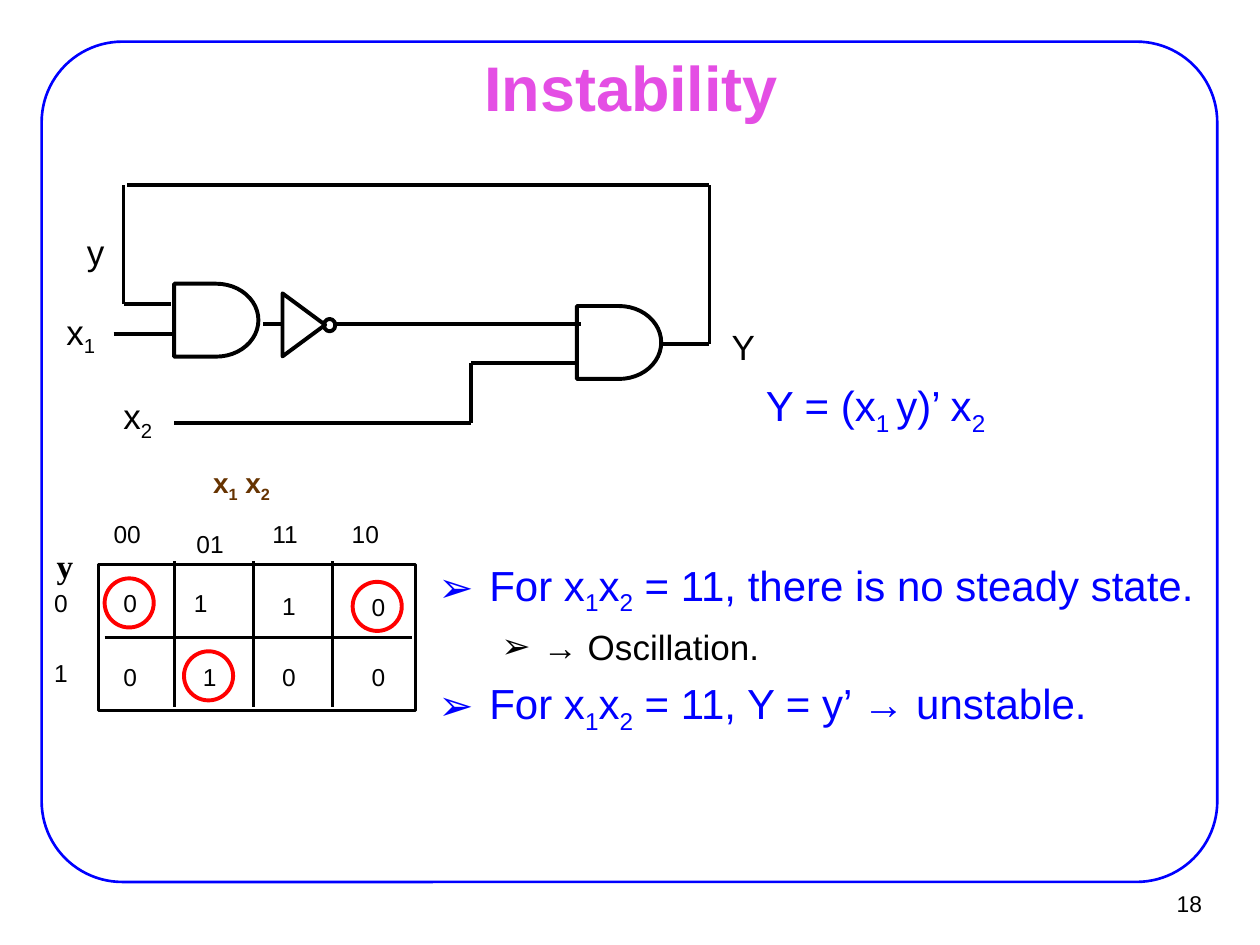
from dataclasses import dataclass

from lxml import etree
from pptx import Presentation
from pptx import util as u
from pptx.dml.color import RGBColor
from pptx.enum import shapes, text
from pptx.oxml.ns import qn


@dataclass(frozen=True)
class Theme:
    ink: str = "000000"
    blue: str = "0000FF"
    pink: str = "E44EE4"
    brown: str = "663300"
    red: str = "FF0000"
    sans: str = "Arial"
    serif: str = "Times New Roman"
    title: int = 36
    body: int = 24
    label: int = 20
    variable: int = 19
    heading: int = 16
    cell: int = 14
    number: int = 13
    frame_line: float = 1.5
    map_line: float = 1.75
    riser_line: float = 2
    wire_line: float = 2.25


THEME = Theme()
SHAPE = shapes.MSO_SHAPE
ALIGN = text.PP_ALIGN
ANCHOR = text.MSO_ANCHOR
TIGHT, NORMAL, WIDE = (0, 0), (0.25, 0.13), (0.28, 0.14)  # insets in cm


def cm(values):
    return [u.Cm(value) for value in values]


def add_outline(slide, kind, box, color=THEME.ink, width=THEME.wire_line, rotation=0):
    shape = slide.shapes.add_shape(kind, *cm(box))
    shape.shadow.inherit = False
    shape.fill.background()
    shape.line.color.rgb = RGBColor.from_string(color)
    shape.line.width = u.Pt(width)
    shape.rotation = rotation
    return shape


def add_line(slide, start, end, width=THEME.wire_line):
    line = slide.shapes.add_connector(
        shapes.MSO_CONNECTOR.STRAIGHT, *cm(start + end))
    line.line.color.rgb = RGBColor.from_string(THEME.ink)
    line.line.width = u.Pt(width)
    etree.SubElement(line._element.spPr, qn("a:effectLst"))


def write(paragraph, content, size=THEME.cell, color=THEME.ink,
          font=THEME.sans, bold=False, align=ALIGN.LEFT, before=0):
    """Write text whose every second part, split at |, is a subscript."""
    paragraph.alignment = align
    paragraph.space_before = u.Pt(before)
    for index, part in enumerate(content.split("|")):
        if not part:
            continue
        run = paragraph.add_run()
        run.text = part
        run.font.name = font
        run.font.size = u.Pt(size)
        run.font.bold = bold
        run.font.color.rgb = RGBColor.from_string(color)
        if index % 2:
            run.font._element.set("baseline", "-25000")


def indent(paragraph, left, hanging, bullet=None, color=THEME.ink):
    properties = paragraph._p.get_or_add_pPr()
    properties.set("marL", str(u.Cm(left)))
    properties.set("indent", str(-u.Cm(hanging)))
    if bullet:
        bullet_color = etree.SubElement(properties, qn("a:buClr"))
        etree.SubElement(bullet_color, qn("a:srgbClr"), val=color)
        etree.SubElement(properties, qn("a:buFont"), typeface=THEME.sans)
        etree.SubElement(properties, qn("a:buChar"), char=bullet)


def add_box(slide, box, insets=NORMAL, anchor=ANCHOR.TOP):
    frame = slide.shapes.add_textbox(*cm(box)).text_frame
    frame.word_wrap = True
    frame.vertical_anchor = anchor
    frame.margin_left = frame.margin_right = u.Cm(insets[0])
    frame.margin_top = frame.margin_bottom = u.Cm(insets[1])
    return frame


def add_label(slide, content, box, insets=NORMAL, anchor=ANCHOR.TOP, **style):
    paragraph = add_box(slide, box, insets, anchor).paragraphs[0]
    write(paragraph, content, **style)
    return paragraph


def add_page(slide):
    frame = add_outline(slide, SHAPE.ROUNDED_RECTANGLE, (0.84, 0.84, 23.7, 16.94),
                        THEME.blue, THEME.frame_line)
    frame.adjustments[0] = 0.096
    add_label(slide, "18", (22.91, 17.75, 1.55, 0.94), (0.23, 0.1), ANCHOR.MIDDLE,
              size=THEME.number, align=ALIGN.RIGHT)
    add_label(slide, "Instability", (1.93, 1.12, 21.59, 1.24), WIDE, ANCHOR.MIDDLE,
              size=THEME.title, color=THEME.pink, bold=True, align=ALIGN.CENTER)


def add_circuit(slide):
    # Wires, then the thinner vertical risers
    wires = [
        ((2.29, 6.73), (3.51, 6.73)), ((6.71, 6.53), (11.71, 6.53)),
        ((9.5, 7.32), (11.63, 7.32)), ((2.57, 3.73), (14.3, 3.73)),
        ((5.31, 6.53), (5.69, 6.53)), ((2.49, 6.12), (3.45, 6.12)),
        ((3.51, 8.53), (9.5, 8.53)), ((13.31, 6.93), (14.3, 6.93)),
    ]
    for start, end in wires:
        add_line(slide, start, end)
    for x, bottom, top in [(2.49, 6.12, 3.73), (14.3, 6.93, 3.73), (9.5, 8.53, 7.32)]:
        add_line(slide, (x, bottom), (x, top), THEME.riser_line)

    # AND gates and inverter
    for left, top in [(3.51, 5.72), (11.63, 6.17)]:
        add_outline(slide, SHAPE.FLOWCHART_DELAY, (left, top, 1.7, 1.47))
    add_outline(slide, SHAPE.ISOSCELES_TRIANGLE, (5.49, 6.12, 1.27, 0.86), rotation=90)
    add_outline(slide, SHAPE.OVAL, (6.53, 6.43, 0.23, 0.25))

    # Signal names
    for name, left, top in [("y", 1.5, 4.52), ("x|1", 1.09, 6.12),
                            ("x|2", 2.24, 7.82), ("Y", 14.5, 6.43)]:
        add_label(slide, name, (left, top, 1.27, 1.2), size=THEME.label)

    equation = add_label(slide, "Y = (x|1 |y)’ x|2", (13.89, 7.52, 7.49, 1.8), WIDE,
                         size=THEME.body, color=THEME.blue, before=6)
    indent(equation, 2.06, 0.79)


def add_karnaugh_map(slide):
    # Grid
    add_outline(slide, SHAPE.RECTANGLE, (1.98, 11.38, 6.4, 2.95), width=THEME.map_line)
    add_line(slide, (2.11, 12.85), (8.31, 12.85), THEME.map_line)
    for column in range(3):
        x = 3.51 + 1.6 * column
        add_line(slide, (x, 14.25), (x, 11.3), THEME.map_line)

    # Variable names
    add_label(slide, " x|1| x|2", (3.89, 9.25, 1.96, 1.04),
              size=THEME.heading, color=THEME.brown, bold=True)
    add_label(slide, "y", (0.89, 10.87, 1.8, 1.07),
              size=THEME.variable, font=THEME.serif, bold=True)

    # Column codes, row codes and cell values
    entries = [
        ("00", 2.29, 10.46), ("01", 3.96, 10.67), ("11", 5.49, 10.46), ("10", 7.09, 10.46),
        ("0", 1.09, 11.86), ("1", 1.09, 13.26),
        ("0", 2.49, 11.86), ("1", 3.91, 11.86), ("1", 5.69, 11.91), ("0", 7.49, 11.94),
        ("0", 2.49, 13.34), ("1", 4.09, 13.34), ("0", 5.69, 13.34), ("0", 7.49, 13.34),
    ]
    for value, left, top in entries:
        add_label(slide, value, (left, top, 0.35 * len(value), 0.58), TIGHT)

    # Stable states
    for left, top in [(2.11, 11.66), (7.11, 11.73), (3.71, 13.13)]:
        add_outline(slide, SHAPE.OVAL, (left, top, 0.99, 0.99), THEME.red)


def add_conclusions(slide):
    frame = add_box(slide, (7.29, 11.13, 21.59, 7.92), WIDE)
    main_point = (THEME.body, THEME.blue, 6, 2.06, 0.79)
    sub_point = (THEME.label, THEME.ink, 5, 3.18, 0.64)
    points = [
        (" For x|1|x|2| = 11, there is no steady state.", main_point),
        (" → Oscillation.", sub_point),
        (" For x|1|x|2| = 11, Y = y’ → unstable.", main_point),
    ]
    for index, (content, (size, color, before, left, hanging)) in enumerate(points):
        paragraph = frame.add_paragraph() if index else frame.paragraphs[0]
        write(paragraph, content, size=size, color=color, before=before)
        indent(paragraph, left, hanging, "➢", color)


def main():
    presentation = Presentation()
    presentation.slide_width, presentation.slide_height = cm((25.4, 19.05))
    slide = presentation.slides.add_slide(presentation.slide_layouts[6])
    add_page(slide)
    add_circuit(slide)
    add_karnaugh_map(slide)
    add_conclusions(slide)
    presentation.save("out.pptx")


if __name__ == "__main__":
    main()
